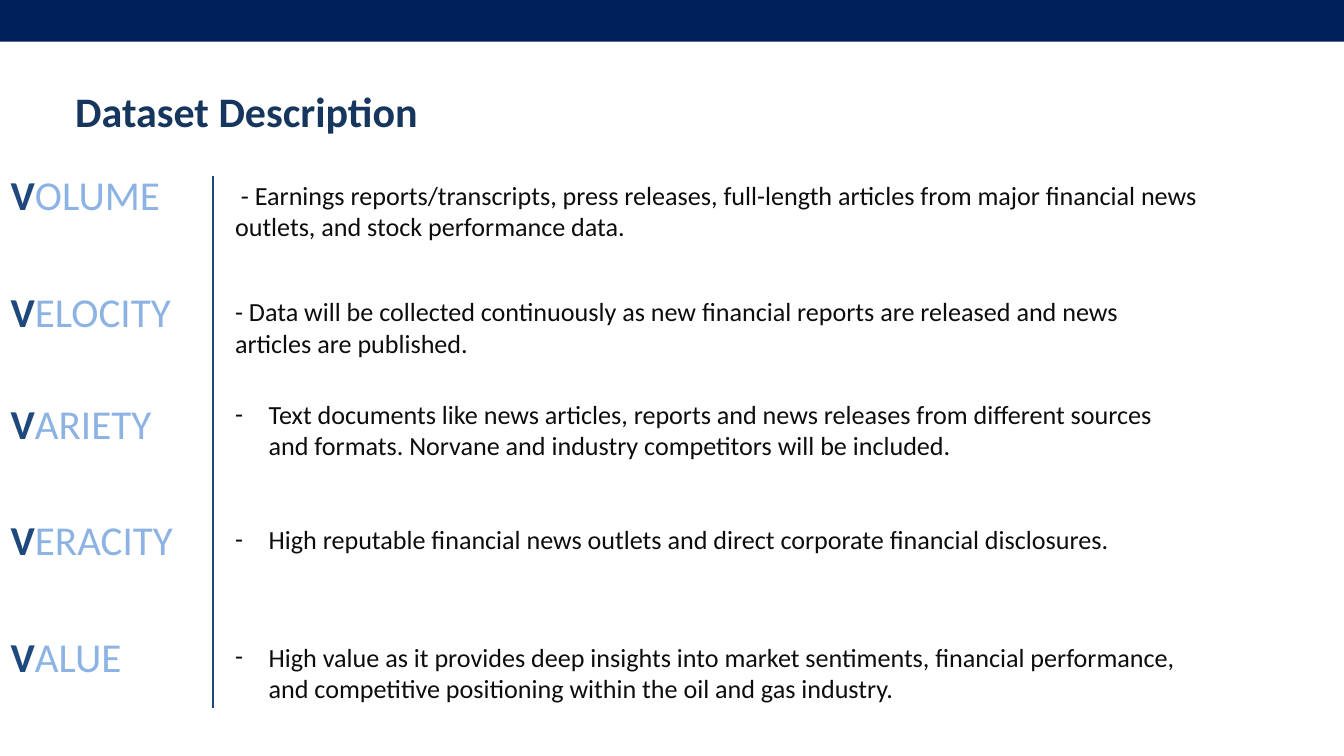
"""Build the Dataset Description slide on the five Vs of the data."""
from lxml import etree
from pptx import Presentation
from pptx import util as u
from pptx.dml.color import RGBColor
from pptx.enum import shapes, text
from pptx.oxml.ns import qn

FONT = "Calibri"
COLORS = {
    "band": "00205B",
    "title": "17365D",
    "initial": "1F497D",
    "label": "8CB3E3",
    "body": "0D0D0D",
}
LABEL_LEFT, BODY_LEFT, DIVIDER_LEFT = 0.06, 3.4, 3.17
ROWS = [
    ("VOLUME", 2.48, 2.62, 15.14, False,
     " - Earnings reports/transcripts, press releases, full-length articles "
     "from major financial news outlets, and stock performance data."),
    ("VELOCITY", 4.21, 4.35, 14.42, False,
     "- Data will be collected continuously as new financial reports are "
     "released and news articles are published."),
    ("VARIETY", 5.88, 5.88, 14.42, True,
     "Text documents like news articles, reports and news releases from "
     "different sources and formats. Norvane and industry competitors will "
     "be included."),
    ("VERACITY", 7.61, 7.74, 14.42, True,
     "High reputable financial news outlets and direct corporate financial "
     "disclosures."),
    ("VALUE", 9.35, 9.49, 14.42, True,
     "High value as it provides deep insights into market sentiments, "
     "financial performance, and competitive positioning within the oil and "
     "gas industry."),
]


def rgb(name):
    return RGBColor.from_string(COLORS[name])


def style(font, size, color, bold=False):
    font.name, font.size, font.bold = FONT, u.Pt(size), bold
    font.color.rgb = rgb(color)


def add_text(s, left, top, width, height):
    tf = s.shapes.add_textbox(*map(u.Inches, (left, top, width, height))).text_frame
    tf.word_wrap = True
    tf.auto_size = text.MSO_AUTO_SIZE.SHAPE_TO_FIT_TEXT
    return tf


def add_band(s):
    sp = s.shapes.add_shape(shapes.MSO_SHAPE.RECTANGLE, 0, 0,
                            u.Inches(20), u.Inches(0.62))
    sp.shadow.inherit = False
    sp.fill.solid()
    sp.fill.fore_color.rgb = rgb("band")
    sp.line.fill.background()


def add_title(s, title):
    tf = add_text(s, 1.12, 1.16, 11.23, 0.72)
    tf.margin_left = tf.margin_top = tf.margin_right = tf.margin_bottom = 0
    p = tf.paragraphs[0]
    p.text = title
    p.line_spacing = 1.16
    style(p.runs[0].font, 45, "title", True)


def add_label(s, word, top):
    p = add_text(s, LABEL_LEFT, top, 2.65, 0.84).paragraphs[0]
    for part, color, bold in ((word[0], "initial", True), (word[1:], "label", False)):
        r = p.add_run()
        r.text = part
        style(r.font, 44, color, bold)


def add_dash(p):
    pPr = p._p.get_or_add_pPr()
    pPr.set("marL", str(u.Inches(0.5)))
    pPr.set("indent", str(u.Inches(-0.5)))
    color = etree.SubElement(pPr, qn("a:buClr"))
    etree.SubElement(color, qn("a:srgbClr")).set("val", COLORS["body"])
    etree.SubElement(pPr, qn("a:buFont")).set("typeface", FONT)
    etree.SubElement(pPr, qn("a:buChar")).set("char", "-")


def add_body(s, content, top, width, dashed):
    height = 1.04 if len(content) > 90 else 0.57
    p = add_text(s, BODY_LEFT, top, width, height).paragraphs[0]
    p.text = content
    if dashed:
        add_dash(p)
    style(p.runs[0].font, 28, "body")


def add_divider(s):
    x = u.Inches(DIVIDER_LEFT)
    line = s.shapes.add_connector(shapes.MSO_CONNECTOR.STRAIGHT,
                                  x, u.Inches(2.62), x, u.Inches(10.53))
    line.line.color.rgb = rgb("initial")
    line.line.width = u.Pt(2.25)
    etree.SubElement(line._element.spPr, qn("a:effectLst"))


def main():
    prs = Presentation()
    prs.slide_width, prs.slide_height = u.Inches(20), u.Inches(11.25)
    s = prs.slides.add_slide(prs.slide_layouts[6])
    add_band(s)
    add_title(s, "Dataset Description")
    for word, label_top, body_top, width, dashed, content in ROWS:
        add_label(s, word, label_top)
        add_body(s, content, body_top, width, dashed)
    add_divider(s)
    prs.save("out.pptx")


if __name__ == "__main__":
    main()
